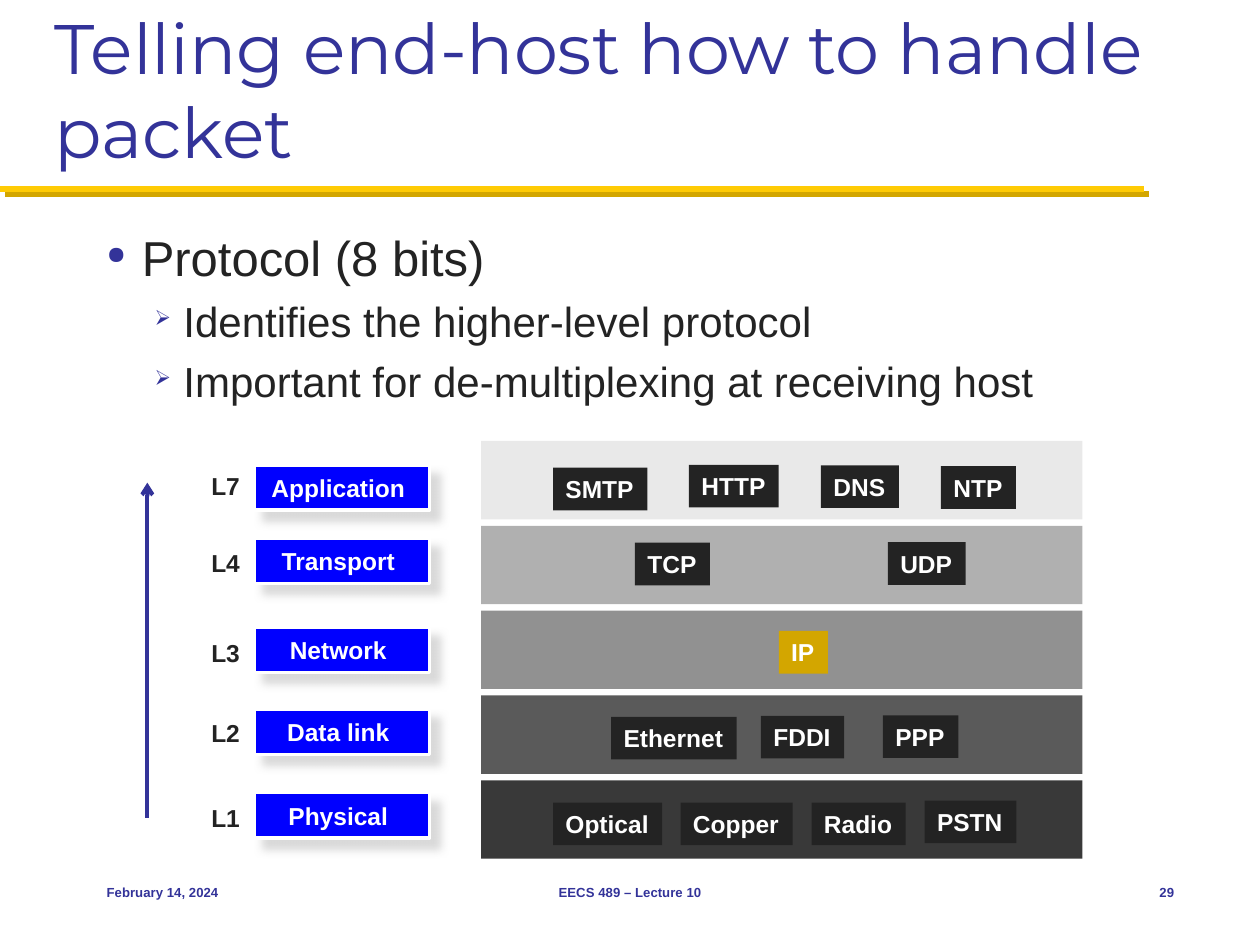
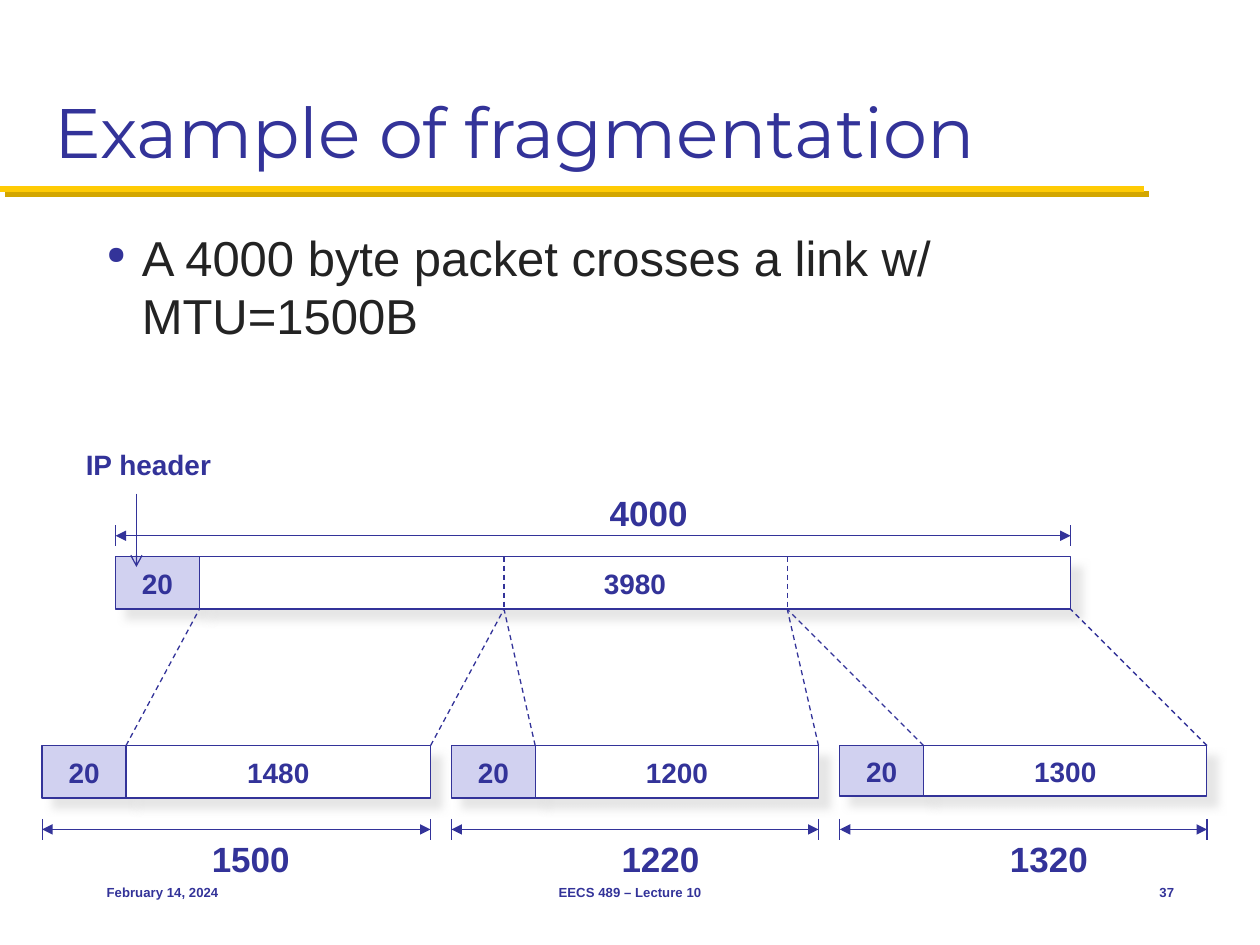
from itertools import accumulate

from lxml.etree import SubElement
from pptx import Presentation
from pptx.dml.color import RGBColor
from pptx.enum.dml import MSO_LINE
from pptx.enum.shapes import MSO_CONNECTOR, MSO_SHAPE
from pptx.enum.text import MSO_ANCHOR, PP_ALIGN
from pptx.oxml.ns import qn
from pptx.util import Cm, Pt

NAVY = RGBColor(0x33, 0x33, 0x99)
INK = RGBColor(0x23, 0x23, 0x23)
WHITE = RGBColor(0xFF, 0xFF, 0xFF)
BLUE = RGBColor(0x00, 0x00, 0xFF)
GOLD = RGBColor(0xFF, 0xCB, 0x05)
DARK_GOLD = RGBColor(0xD3, 0xA6, 0x00)
LAVENDER = RGBColor(0xD1, 0xD1, 0xF0)
SHADE = RGBColor(0xCE, 0xCE, 0xCE)
BAND_GREYS = [RGBColor(grey, grey, grey) for grey in (0xE9, 0xB0, 0x91, 0x5A, 0x39)]

DATE = "February 14, 2024"
COURSE = "EECS 489 – Lecture 10"

PROTOCOL_TITLE = "Telling end-host how to handle packet"
PROTOCOL_BULLETS = [
    (0, "Protocol (8 bits)"),
    (1, "Identifies the higher-level protocol"),
    (1, "Important for de-multiplexing at receiving host"),
]
# layer
LAYERS = [
    ("L7", "Application", 9.37, 9.37),
    ("L4", "Transport", 10.92, 10.85),
    ("L3", "Network", 12.73, 12.65),
    ("L2", "Data link", 14.35, 14.3),
    ("L1", "Physical", 16.05, 15.98),
]
PROTOCOLS = [
    ("SMTP", 11.15, 9.43, 1.9),
    ("HTTP", 13.89, 9.37, 1.81),
    ("DNS", 16.55, 9.38, 1.57),
    ("NTP", 18.97, 9.4, 1.51),
    ("TCP", 12.8, 10.94, 1.51),
    ("UDP", 17.9, 10.93, 1.57),
    ("IP", 15.7, 12.72, 0.99),
    ("Ethernet", 12.32, 14.45, 2.53),
    ("FDDI", 15.34, 14.43, 1.68),
    ("PPP", 17.8, 14.42, 1.52),
    ("Optical", 11.15, 16.18, 2.2),
    ("Copper", 13.72, 16.18, 2.26),
    ("Radio", 16.36, 16.18, 1.9),
    ("PSTN", 18.64, 16.14, 1.85),
]

FRAGMENT_TITLE = "Example of fragmentation"
FRAGMENT_BULLETS = [(0, "A 4000 byte packet crosses a link w/ MTU=1500B")]
FRAGMENTS = [
    {"left": 0.85, "payload": "1480", "width": 6.14, "height": 1.06, "total": "1500", "total_left": 4.02},
    {"left": 9.1, "payload": "1200", "width": 5.71, "height": 1.06, "total": "1220", "total_left": 12.28},
    {"left": 16.93, "payload": "1300", "width": 5.71, "height": 1.02, "total": "1320", "total_left": 20.11},
]
HEADER_WIDTH = 1.69
PACKET_LEFT, PACKET_TOP, PACKET_HEIGHT = 2.33, 11.22, 1.06
FRAGMENT_TOP = 15.03

BULLET_STYLES = [
    {"char": "●", "size": 28, "margin": 0.71, "hanging": 0.71, "before": 6.4},
    {"char": "➢", "size": 24, "margin": 1.55, "hanging": 0.58, "before": 5.5},
]


def set_shadow(effects, color, alpha, blur, distance):
    shadow = SubElement(effects, qn("a:outerShdw"), blurRad=str(Pt(blur)), dist=str(Pt(distance)),
                        dir="2700000", algn="ctr", rotWithShape="0")
    tone = SubElement(shadow, qn("a:srgbClr"), val=str(color))
    SubElement(tone, qn("a:alpha"), val=str(alpha * 1000))


def add_box(slide, left, top, width, height, fill, line=None, weight=0.75, shadow=None):
    shape = slide.shapes.add_shape(MSO_SHAPE.RECTANGLE, Cm(left), Cm(top), Cm(width), Cm(height))
    shape.shadow.inherit = False
    shape.fill.solid()
    shape.fill.fore_color.rgb = fill
    if line is None:
        shape.line.fill.background()
    else:
        shape.line.color.rgb = line
        shape.line.width = Pt(weight)
    if shadow:
        set_shadow(shape._element.spPr.find(qn("a:effectLst")), *shadow)
    return shape


def add_line(slide, start, end, color=NAVY, weight=0.75, dashed=False, head=None, tail=None, shadow=None):
    points = [Cm(value) for value in (*start, *end)]
    connector = slide.shapes.add_connector(MSO_CONNECTOR.STRAIGHT, *points)
    connector.line.color.rgb = color
    connector.line.width = Pt(weight)
    if dashed:
        connector.line.dash_style = MSO_LINE.DASH
    properties = connector._element.spPr
    for tag, kind in (("a:headEnd", head), ("a:tailEnd", tail)):
        if kind:
            SubElement(properties.find(qn("a:ln")), qn(tag), type=kind)
    effects = SubElement(properties, qn("a:effectLst"))
    if shadow:
        set_shadow(effects, *shadow)


def add_text_box(slide, left, top, width, height):
    return slide.shapes.add_textbox(Cm(left), Cm(top), Cm(width), Cm(height))


def write(shape, text, size=14, color=INK, bold=True, font="Arial", align=PP_ALIGN.LEFT,
          anchor=MSO_ANCHOR.TOP, wrap=False, insets=(0.25, 0.13, 0.25, 0.13), added=False):
    frame = shape.text_frame
    frame.word_wrap = wrap
    frame.vertical_anchor = anchor
    (frame.margin_left, frame.margin_top,
     frame.margin_right, frame.margin_bottom) = [Cm(inset) for inset in insets]
    paragraph = frame.add_paragraph() if added else frame.paragraphs[0]
    paragraph.alignment = align
    run = paragraph.add_run()
    run.text = text
    run.font.name = font
    run.font.size = Pt(size)
    run.font.bold = bold
    run.font.color.rgb = color
    return paragraph


def write_bullets(shape, bullets):
    for index, (level, text) in enumerate(bullets):
        style = BULLET_STYLES[level]
        paragraph = write(shape, text, size=style["size"], bold=False, wrap=True, added=index > 0)
        paragraph.level = level
        paragraph.space_before = Pt(style["before"])
        properties = paragraph._p.get_or_add_pPr()
        properties.set("marL", str(Cm(style["margin"])))
        properties.set("indent", str(-Cm(style["hanging"])))
        SubElement(SubElement(properties, qn("a:buClr")), qn("a:srgbClr"), val=str(NAVY))
        SubElement(properties, qn("a:buSzPct"), val="50000")
        SubElement(properties, qn("a:buChar"), char=style["char"])


def add_base_slide(presentation, title, bullets, number):
    slide = presentation.slides.add_slide(presentation.slide_layouts[6])
    add_line(slide, (0, 3.81), (23.06, 3.81), GOLD, 3.5, shadow=(DARK_GOLD, 100, 0, 4.2))
    write(add_text_box(slide, 0.85, 0.42, 23.71, 3.18), title, size=40, color=NAVY, bold=False,
          font="Montserrat", anchor=MSO_ANCHOR.BOTTOM, wrap=True)
    write_bullets(add_text_box(slide, 1.9, 4.45, 22.01, 12.28), bullets)
    footers = [
        (DATE, 1.9, 5.29, PP_ALIGN.LEFT),
        (COURSE, 8.68, 8.04, PP_ALIGN.CENTER),
        (str(number), 22.23, 1.69, PP_ALIGN.RIGHT),
    ]
    for text, left, width, align in footers:
        write(add_text_box(slide, left, 17.36, width, 1.27), text, size=7.5, color=NAVY,
              align=align, anchor=MSO_ANCHOR.MIDDLE, wrap=True)
    return slide


def add_protocol_slide(presentation):
    slide = add_base_slide(presentation, PROTOCOL_TITLE, PROTOCOL_BULLETS, 29)
    add_line(slide, (2.97, 16.48), (2.97, 9.73), weight=2.25, tail="arrow")
    for index, grey in enumerate(BAND_GREYS):
        add_box(slide, 9.7, 8.89 + 1.71 * index, 12.12, 1.58, grey)
    for label, name, label_top, box_top in LAYERS:
        box = add_box(slide, 5.13, box_top, 3.53, 0.91, BLUE, WHITE, 2, shadow=(SHADE, 75, 5, 8))
        write(box, name, color=WHITE, align=PP_ALIGN.CENTER, anchor=MSO_ANCHOR.MIDDLE,
              insets=(0.1, 0.1, 0.25, 0.1))
        write(add_box(slide, 4.01, label_top, 1.09, 0.86, WHITE), label)
    for name, left, top, width in PROTOCOLS:
        fill = DARK_GOLD if name == "IP" else INK
        write(add_box(slide, left, top, width, 0.86, fill), name, color=WHITE)


def add_packet_part(slide, text, left, top, width, height, fill):
    box = add_box(slide, left, top, width, height, fill, NAVY, shadow=(SHADE, 50, 5, 8.5))
    write(box, text, size=16, color=NAVY, align=PP_ALIGN.CENTER, anchor=MSO_ANCHOR.MIDDLE)


def add_packet(slide, payload, left, top, width, height):
    add_packet_part(slide, "20", left, top, HEADER_WIDTH, height, LAVENDER)
    add_packet_part(slide, payload, left + HEADER_WIDTH, top, width, height, WHITE)


def add_dimension(slide, text, left, right, middle, text_left, text_top):
    for edge in (left, right):
        add_line(slide, (edge, middle - 0.21), (edge, middle + 0.21))
    add_line(slide, (left, middle), (right, middle), head="triangle", tail="triangle")
    write(add_text_box(slide, text_left, text_top, 2.12, 1.11), text, size=20, color=NAVY)


def add_fragment_slide(presentation):
    slide = add_base_slide(presentation, FRAGMENT_TITLE, FRAGMENT_BULLETS, 37)
    widths = [fragment["width"] for fragment in FRAGMENTS]
    cuts = list(accumulate(widths, initial=PACKET_LEFT + HEADER_WIDTH))
    packet_bottom = PACKET_TOP + PACKET_HEIGHT

    add_packet(slide, "3980", PACKET_LEFT, PACKET_TOP, sum(widths), PACKET_HEIGHT)
    add_dimension(slide, "4000", PACKET_LEFT, cuts[-1], 10.8, 12.04, 9.78)
    for cut in cuts[1:-1]:
        add_line(slide, (cut, PACKET_TOP), (cut, packet_bottom), dashed=True)

    for fragment, cut_start, cut_end in zip(FRAGMENTS, cuts, cuts[1:]):
        left = fragment["left"]
        payload_left = left + HEADER_WIDTH
        right = payload_left + fragment["width"]
        add_packet(slide, fragment["payload"], left, FRAGMENT_TOP, fragment["width"], fragment["height"])
        add_dimension(slide, fragment["total"], left, right, 16.72, fragment["total_left"], 16.76)
        for corner, cut in ((payload_left, cut_start), (right, cut_end)):
            add_line(slide, (corner, FRAGMENT_TOP), (cut, packet_bottom), dashed=True)

    write(add_text_box(slide, 1.48, 8.89, 3.07, 0.94), "IP header", size=16, color=NAVY)
    add_line(slide, (2.75, 9.95), (2.75, 11.43), tail="arrow")


def main():
    presentation = Presentation()
    presentation.slide_width = Cm(25.4)
    presentation.slide_height = Cm(19.05)
    add_protocol_slide(presentation)
    add_fragment_slide(presentation)
    presentation.save("out.pptx")


if __name__ == "__main__":
    main()
